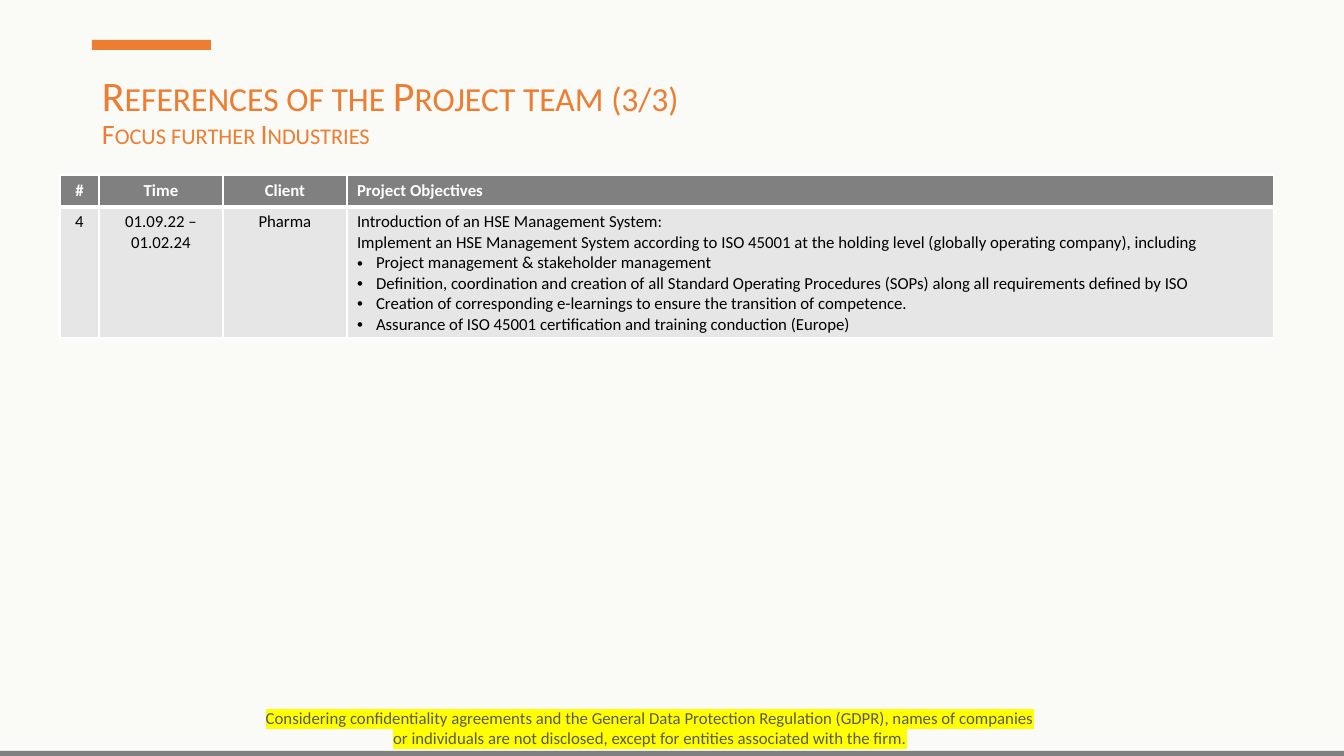
from lxml import etree
from pptx import Presentation
from pptx.dml.color import RGBColor
from pptx.enum.shapes import MSO_SHAPE
from pptx.enum.text import MSO_ANCHOR, PP_ALIGN
from pptx.oxml.ns import qn
from pptx.util import Emu, Pt

RECT = MSO_SHAPE.RECTANGLE
TOP, MIDDLE = MSO_ANCHOR.TOP, MSO_ANCHOR.MIDDLE
LEFT, CENTER = PP_ALIGN.LEFT, PP_ALIGN.CENTER

COLORS = {
    "paper": "FAFAF7", "grey": "808080", "orange": "ED7D31", "cell": "E7E6E6",
    "white": "FFFFFF", "black": "000000", "note": "595959", "marker": "FFFF00",
}
WIDTH, HEIGHT = 1344, 756
BULLET_INDENT = 19
COLUMNS = [39, 124, 124, 927]
ROWS = [32, 131]
HEADER = ["#", "Time", "Client", "Project Objectives"]
PROJECT = ["4", "01.09.22 – 01.02.24", "Pharma"]
INTRO = [
    "Introduction of an HSE Management System:",
    "Implement an HSE Management System according to ISO 45001 at the holding level "
    "(globally operating company), including",
]
TASKS = [
    "Project management & stakeholder management",
    "Definition, coordination and creation of all Standard Operating Procedures (SOPs) "
    "along all requirements defined by ISO",
    "Creation of corresponding e-learnings to ensure the transition of competence.",
    "Assurance of ISO 45001 certification and training conduction (Europe)",
]
NOTE = (
    "Considering confidentiality agreements and the General Data Protection Regulation "
    "(GDPR), names of companies or individuals are not disclosed, except for entities "
    "associated with the firm."
)


def px(n):
    """Turn pixels into EMU."""
    return Emu(round(n * 914400 / 100.8))


def rgb(name):
    """Look up a colour."""
    return RGBColor.from_string(COLORS[name])


def add_run(p, text, size, color, bold=False):
    """Append a formatted run to a paragraph."""
    r = p.add_run()
    r.text = text
    for key, value in {"name": "Calibri", "size": Pt(size), "bold": bold}.items():
        setattr(r.font, key, value)
    r.font.color.rgb = rgb(color)
    return r


def add_bar(s, box, color):
    """Draw a plain filled bar."""
    sp = s.shapes.add_shape(RECT, *map(px, box))
    sp.shadow.inherit = False
    sp.fill.solid()
    sp.fill.fore_color.rgb = rgb(color)
    sp.line.fill.background()


def add_text_box(s, box, anchor):
    """Add a wrapping text box and return its text frame."""
    tf = s.shapes.add_textbox(*map(px, box)).text_frame
    tf.word_wrap = True
    tf.vertical_anchor = anchor
    return tf


def add_title(s, box):
    """Write the small-caps title with its accent bar at the box's top."""
    x, y, _, _ = box
    add_bar(s, (x, y, 119, 10), "orange")
    p = add_text_box(s, box, MIDDLE).paragraphs[0]
    p.line_spacing = 0.9
    title = add_run(p, "References of the Project team (3/3)", 30, "orange")
    p.add_line_break()
    subtitle = add_run(p, "Focus further Industries", 20, "orange")
    for r in (title, subtitle):
        r._r.get_or_add_rPr().set("cap", "small")


def add_bullet(p):
    """Give a paragraph a hanging round bullet."""
    pPr = p._p.get_or_add_pPr()
    pPr.set("marL", str(px(BULLET_INDENT)))
    pPr.set("indent", str(-px(BULLET_INDENT)))
    etree.SubElement(pPr, qn("a:buFont"), typeface="Arial")
    etree.SubElement(pPr, qn("a:buChar"), char="•")


def add_borders(cell, widths):
    """Draw white borders, given as points per side."""
    tcPr = cell._tc.get_or_add_tcPr()
    for i, (side, width) in enumerate(widths.items()):
        ln = etree.Element(qn(f"a:ln{side}"), w=str(Pt(width)))
        fill = etree.SubElement(ln, qn("a:solidFill"))
        etree.SubElement(fill, qn("a:srgbClr"), val=COLORS["white"])
        tcPr.insert(i, ln)


def fill_cell(cell, lines, is_header, is_last):
    """Write and format one table cell."""
    cell.fill.solid()
    cell.fill.fore_color.rgb = rgb("grey" if is_header else "cell")
    cell.vertical_anchor = MIDDLE if is_header or is_last else TOP
    tf = cell.text_frame
    for i, line in enumerate(lines):
        p = tf.add_paragraph() if i else tf.paragraphs[0]
        p.alignment = LEFT if is_last else CENTER
        if line in TASKS:
            add_bullet(p)
        add_run(p, line, 12, "white" if is_header else "black", is_header)
    top, bottom = (1, 3) if is_header else (3, 1)
    add_borders(cell, {"L": 1, "R": 1, "T": top, "B": bottom})


def add_project_table(s, x, y):
    """Build the reference table from its column and row sizes."""
    size = map(px, (x, y, sum(COLUMNS), sum(ROWS)))
    table = s.shapes.add_table(len(ROWS), len(COLUMNS), *size).table
    table.first_row = table.horz_banding = False
    for column, width in zip(table.columns, COLUMNS):
        column.width = px(width)
    for row, height in zip(table.rows, ROWS):
        row.height = px(height)
    contents = [[[text] for text in HEADER],
                [[text] for text in PROJECT] + [INTRO + TASKS]]
    for i, row in enumerate(contents):
        for j, lines in enumerate(row):
            fill_cell(table.cell(i, j), lines, i == 0, j == len(COLUMNS) - 1)


def add_note(s, box):
    """Write the highlighted confidentiality note."""
    p = add_text_box(s, box, TOP).paragraphs[0]
    p.alignment = CENTER
    r = add_run(p, NOTE, 12, "note")
    highlight = etree.Element(qn("a:highlight"))
    etree.SubElement(highlight, qn("a:srgbClr"), val=COLORS["marker"])
    r._r.get_or_add_rPr().find(qn("a:latin")).addprevious(highlight)


def main():
    """Build and save the slide."""
    prs = Presentation()
    prs.slide_width, prs.slide_height = px(WIDTH), px(HEIGHT)
    s = prs.slides.add_slide(prs.slide_layouts[6])
    s.background.fill.solid()
    s.background.fill.fore_color.rgb = rgb("paper")
    add_bar(s, (0, HEIGHT - 5, WIDTH, 5), "grey")
    add_title(s, (92, 40, 1159, 146))
    add_project_table(s, 60, 175)
    add_note(s, (249, 703, 802, 50))
    prs.save("out.pptx")


if __name__ == "__main__":
    main()
